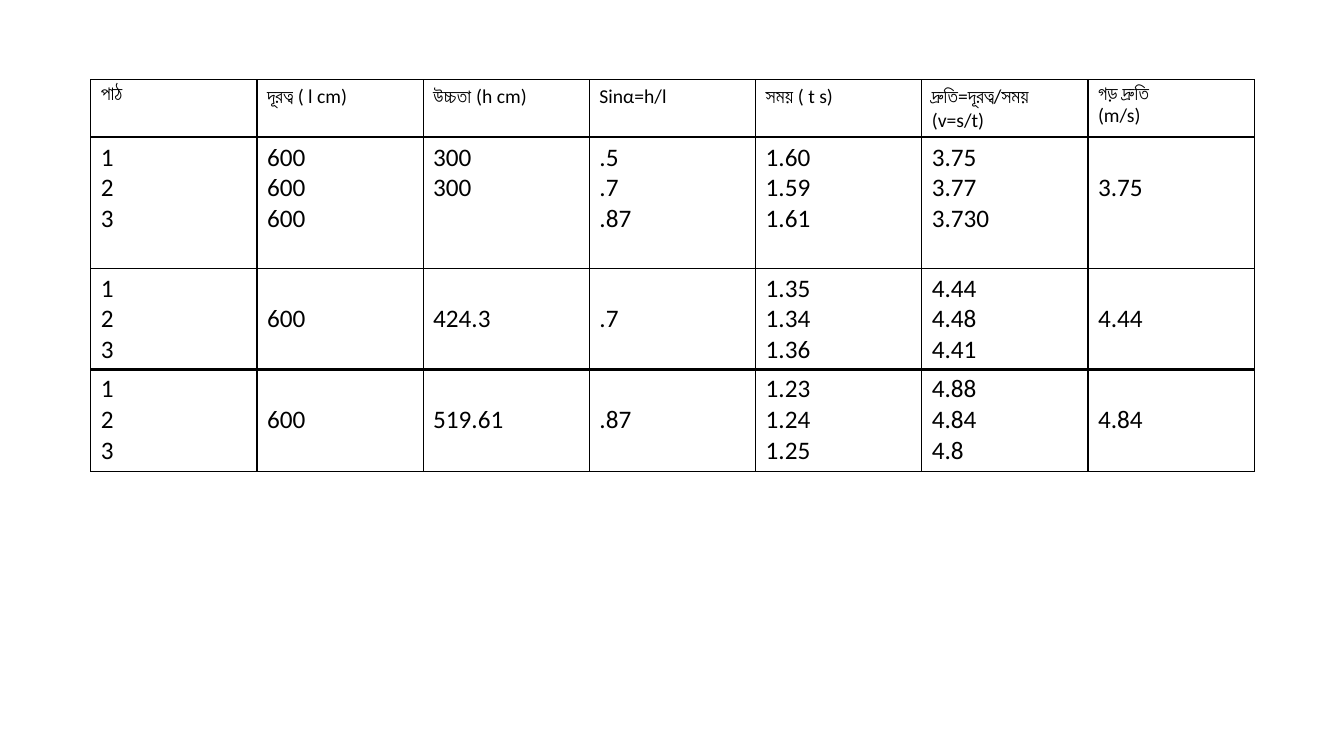
from pptx import Presentation
from pptx import util as u
from pptx.dml.color import RGBColor
from pptx.oxml import parse_xml
from pptx.oxml.ns import nsdecls

# Content: one table per block; each cell is a list of lines
HEADER = [["পাঠ"], ["দূরত্ব ( l cm)"], ["উচ্চতা (h cm)"], ["Sinα=h/l"], ["সময় ( t s)"],
          ["দ্রুতি=দূরত্ব/সময়", "(v=s/t)"], ["গড় দ্রুতি", "(m/s)"]]
TRIALS = ["1", "2", "3"]
FIRST = [TRIALS, ["600", "600", "600"], ["300", "300"], [".5", ".7", ".87"],
         ["1.60", "1.59", "1.61"], ["3.75", "3.77", "3.730"], ["3.75"]]
SECOND = [TRIALS, ["600"], ["424.3"], [".7"],
          ["1.35", "1.34", "1.36"], ["4.44", "4.48", "4.41"], ["4.44"]]
THIRD = [TRIALS, ["600"], ["519.61"], [".87"],
         ["1.23", "1.24", "1.25"], ["4.88", "4.84", "4.8"], ["4.84"]]

# Cells, text size, height
BLOCKS = [(HEADER, 14, 0.57), (FIRST, 18, 1.3), (SECOND, 18, 1.0), (THIRD, 18, 1.0)]
LEFT, TOP, WIDTH = 0.9, 0.79, 11.54
PADDING, LINE_HEIGHT = 0.05, 0.3
BLACK = "000000"


def color(value):
    return RGBColor.from_string(value)


def add_borders(cell, line_color=BLACK, points=1):
    properties = cell._tc.get_or_add_tcPr()
    for index, side in enumerate(("lnL", "lnR", "lnT", "lnB")):
        properties.insert(index, parse_xml(
            f'<a:{side} {nsdecls("a")} w="{u.Pt(points)}"><a:solidFill>'
            f'<a:srgbClr val="{line_color}"/></a:solidFill></a:{side}>'))


def write(cell, lines, size, font="Calibri", text_color=BLACK):
    frame = cell.text_frame
    for index, line in enumerate(lines):
        para = frame.paragraphs[0] if index == 0 else frame.add_paragraph()
        span = para.add_run()
        span.text = line
        span.font.name = font
        span.font.size = u.Pt(size)
        span.font.color.rgb = color(text_color)


def add_block(page, cells, size, top, height):
    table = page.shapes.add_table(1, len(cells), u.Inches(LEFT), u.Inches(top),
                                  u.Inches(WIDTH), u.Inches(height)).table
    table.first_row = table.horz_banding = False
    for column in table.columns:
        column.width = u.Inches(WIDTH / len(cells))
    for cell, lines in zip(table.rows[0].cells, cells):
        cell.fill.background()
        add_borders(cell)
        # A single value sits level with the second trial
        lowered = cells is not HEADER and len(lines) == 1
        cell.margin_top = u.Inches(PADDING + LINE_HEIGHT * lowered)
        write(cell, lines, size)


def main():
    deck = Presentation()
    deck.slide_width, deck.slide_height = u.Inches(13.33), u.Inches(7.5)
    page = deck.slides.add_slide(deck.slide_layouts[6])

    # Stack the blocks without gaps
    top = TOP
    for cells, size, height in BLOCKS:
        add_block(page, cells, size, top, height)
        top += height
    deck.save("out.pptx")


if __name__ == "__main__":
    main()
